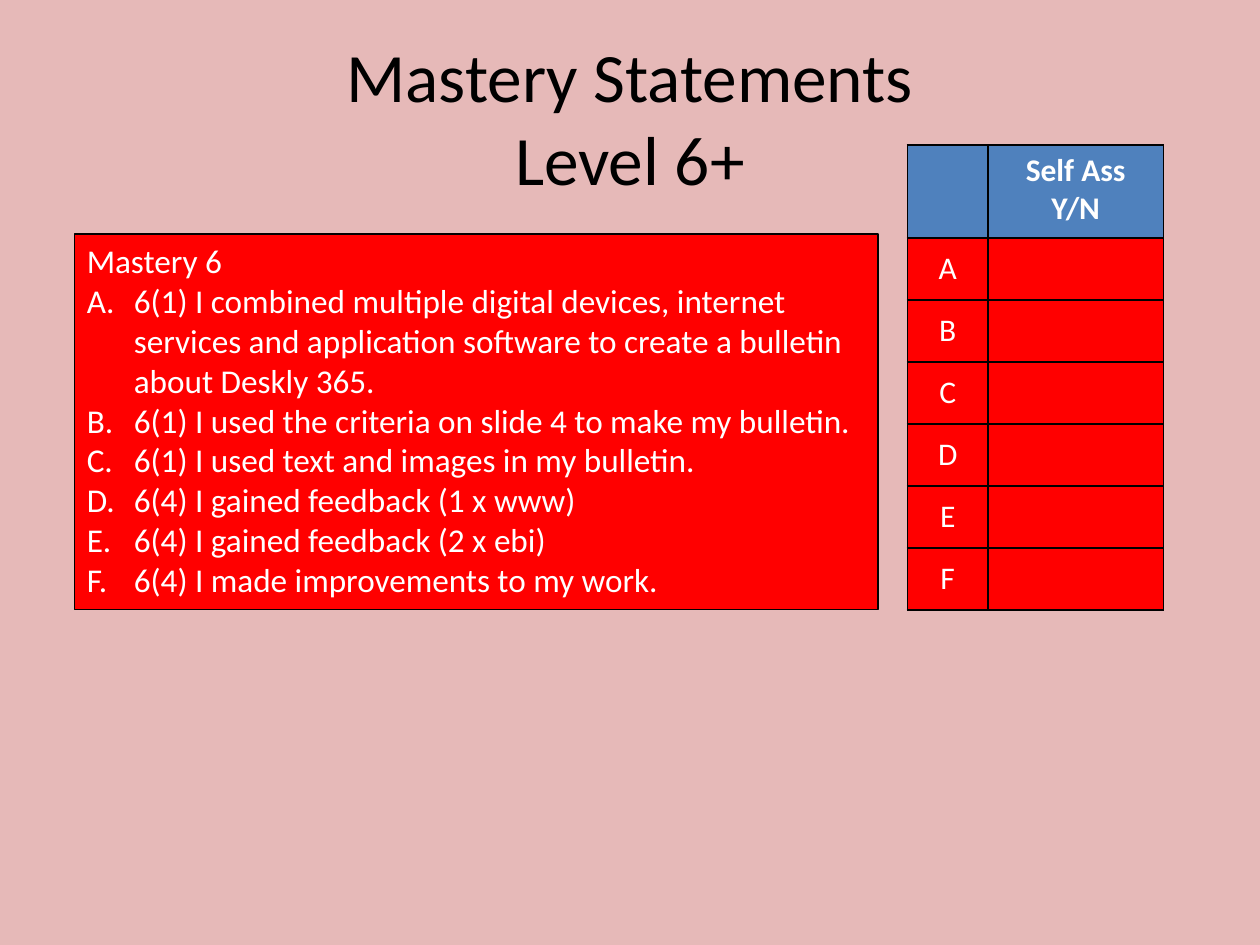
from dataclasses import dataclass

import lxml.etree
import pptx
import pptx.dml.color
import pptx.enum.shapes
import pptx.enum.text
import pptx.oxml.ns
import pptx.util

Cm = pptx.util.Cm
Pt = pptx.util.Pt
RGBColor = pptx.dml.color.RGBColor
ALIGN = pptx.enum.text.PP_ALIGN
ANCHOR = pptx.enum.text.MSO_ANCHOR

PINK = RGBColor(0xE6, 0xB9, 0xB8)
RED = RGBColor(0xFF, 0x00, 0x00)
BLUE = RGBColor(0x4F, 0x81, 0xBD)
BLACK = RGBColor(0x00, 0x00, 0x00)
WHITE = RGBColor(0xFF, 0xFF, 0xFF)

FONT = "Calibri"
HANGING = Cm(0.95)
HEADER_HEIGHT = Cm(1.88)
ANSWER_HEIGHT = Cm(1.25)
COLUMN_WIDTHS = (Cm(1.63), Cm(3.53))


@dataclass(frozen=True)
class Statement:
    """A mastery statement with its letter and criterion."""

    letter: str
    criterion: str
    claim: str


STATEMENTS = (
    Statement("A", "6(1)", "I combined multiple digital devices, internet services and "
              "application software to create a bulletin about Deskly 365."),
    Statement("B", "6(1)", "I used the criteria on slide 4 to make my bulletin."),
    Statement("C", "6(1)", "I used text and images in my bulletin."),
    Statement("D", "6(4)", "I gained feedback (1 x www)"),
    Statement("E", "6(4)", "I gained feedback (2 x ebi)"),
    Statement("F", "6(4)", "I made improvements to my work."),
)


def format_text(frame, size: float, color: RGBColor, align, bold: bool = False) -> None:
    """Format every paragraph and run of a text frame."""
    for paragraph in frame.paragraphs:
        paragraph.alignment = align
        for run in paragraph.runs:
            run.font.name = FONT
            run.font.size = Pt(size)
            run.font.bold = bold
            run.font.color.rgb = color


def number_with_letter(paragraph) -> None:
    """Give a paragraph an automatic capital letter and a hanging indent."""
    properties = paragraph._p.get_or_add_pPr()
    properties.set("marL", str(HANGING))
    properties.set("indent", str(-HANGING))
    lxml.etree.SubElement(
        properties, pptx.oxml.ns.qn("a:buAutoNum"), type="alphaUcPeriod")


def style_cell(cell, fill: RGBColor) -> None:
    """Draw thin black borders around a cell and fill it."""
    properties = cell._tc.get_or_add_tcPr()
    for side in ("lnL", "lnR", "lnT", "lnB"):
        border = lxml.etree.SubElement(
            properties, pptx.oxml.ns.qn(f"a:{side}"), w=str(Pt(1)))
        solid = lxml.etree.SubElement(border, pptx.oxml.ns.qn("a:solidFill"))
        lxml.etree.SubElement(solid, pptx.oxml.ns.qn("a:srgbClr"), val=str(BLACK))
    cell.fill.solid()
    cell.fill.fore_color.rgb = fill


def add_title(slide) -> None:
    """Add the two-line heading."""
    title = slide.shapes.add_textbox(Cm(1.27), Cm(0.76), Cm(22.86), Cm(3.18))
    frame = title.text_frame
    frame.word_wrap = True
    frame.vertical_anchor = ANCHOR.MIDDLE
    frame.paragraphs[0].text = "Mastery Statements\vLevel 6+"
    format_text(frame, 39.6, BLACK, ALIGN.CENTER)


def add_statements(slide) -> None:
    """Add the red panel of lettered statements."""
    panel = slide.shapes.add_shape(
        pptx.enum.shapes.MSO_SHAPE.RECTANGLE, Cm(1.5), Cm(4.72), Cm(16.2), Cm(7.57))
    panel.shadow.inherit = False
    panel.fill.solid()
    panel.fill.fore_color.rgb = RED
    panel.line.color.rgb = BLACK
    panel.line.width = Pt(0.75)
    frame = panel.text_frame
    frame.word_wrap = True
    frame.auto_size = pptx.enum.text.MSO_AUTO_SIZE.SHAPE_TO_FIT_TEXT
    frame.vertical_anchor = ANCHOR.TOP
    lines = [f"{item.criterion} {item.claim}" for item in STATEMENTS]
    frame.text = "\n".join(["Mastery 6", *lines])
    format_text(frame, 19, WHITE, ALIGN.LEFT)
    for paragraph in frame.paragraphs[1:]:
        number_with_letter(paragraph)


def add_self_assessment(slide) -> None:
    """Add the table in which each statement gets a yes or no."""
    labels = ["", *(item.letter for item in STATEMENTS)]
    height = HEADER_HEIGHT + ANSWER_HEIGHT * len(STATEMENTS)
    table = slide.shapes.add_table(
        len(labels), len(COLUMN_WIDTHS), Cm(18.29), Cm(2.92),
        sum(COLUMN_WIDTHS), height).table
    for column, width in zip(table.columns, COLUMN_WIDTHS):
        column.width = width
    for index, label in enumerate(labels):
        is_header = index == 0
        table.rows[index].height = HEADER_HEIGHT if is_header else ANSWER_HEIGHT
        for column, text in enumerate((label, "Self Ass\nY/N" if is_header else "")):
            cell = table.cell(index, column)
            style_cell(cell, BLUE if is_header else RED)
            cell.vertical_anchor = ANCHOR.TOP if is_header else ANCHOR.MIDDLE
            cell.text_frame.text = text
            format_text(cell.text_frame, 18, WHITE, ALIGN.CENTER, is_header)


def main() -> None:
    """Build and save the slide."""
    deck = pptx.Presentation()
    deck.slide_width, deck.slide_height = Cm(25.4), Cm(19.05)
    slide = deck.slides.add_slide(deck.slide_layouts[6])
    slide.background.fill.solid()
    slide.background.fill.fore_color.rgb = PINK
    add_title(slide)
    add_statements(slide)
    add_self_assessment(slide)
    deck.save("out.pptx")


main()
